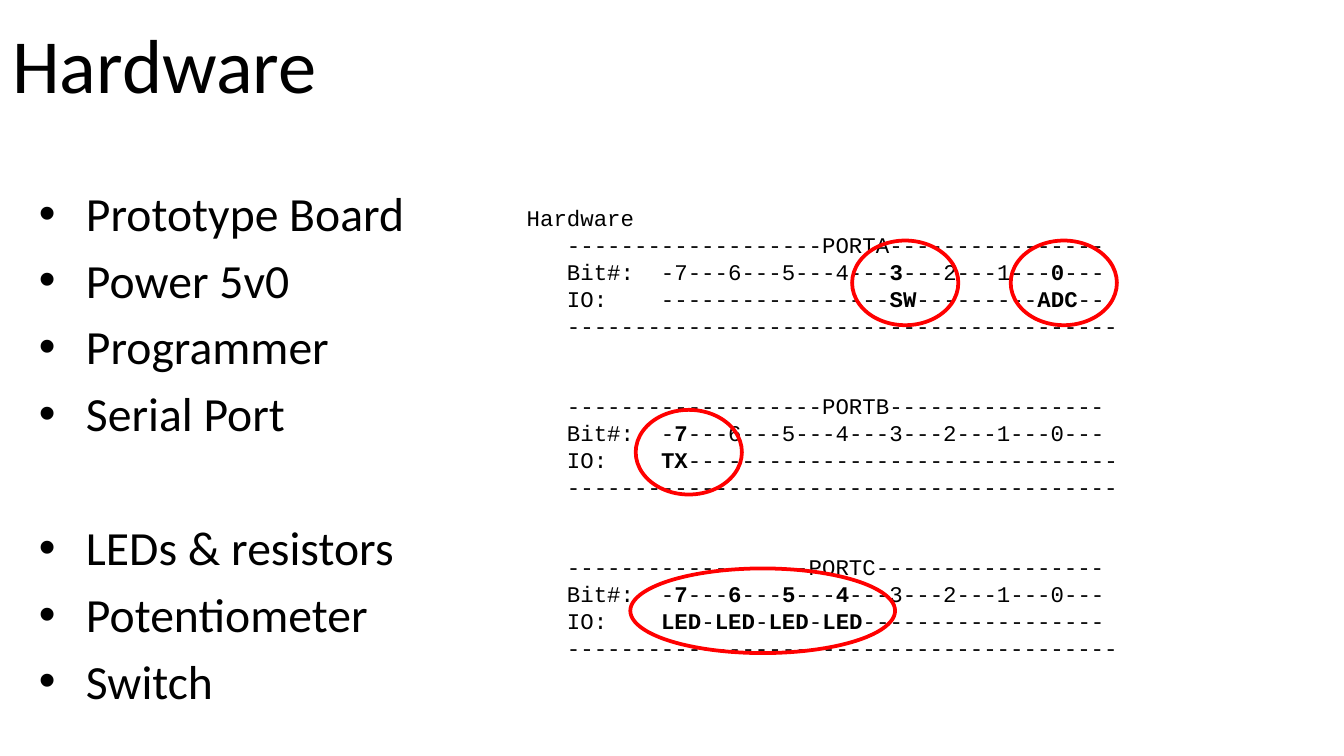
import pptx
import pptx.util
import pptx.dml.color
import pptx.enum.shapes
import pptx.enum.text
import lxml.etree

Inches, Pt = pptx.util.Inches, pptx.util.Pt

TITLE = "Hardware"
GROUPS = [
    ["Prototype Board", "Power 5v0", "Programmer", "Serial Port"],
    ["LEDs & resistors", "Potentiometer", "Switch"],
]
RULE = "   " + "-" * 41
PORTS = [
    ["   -------------------PORTA----------------",
     "   Bit#:  -7---6---5---4---*3*---2---1---*0*---",
     "   IO:    -----------------*SW*---------*ADC*--",
     RULE],
    ["   -------------------PORTB----------------",
     "   Bit#:  -*7*---6---5---4---3---2---1---0---",
     "   IO:    *TX*--------------------------------",
     RULE],
    ["   ------------------PORTC-----------------",
     "   Bit#:  -*7*---*6*---*5*---*4*---3---2---1---0---",
     "   IO:    *LED*-*LED*-*LED*-*LED*------------------",
     RULE],
]
RINGS = [(7.52, 1.79, 0.79), (4.69, 4.23, 1.97), (6.34, 1.79, 0.79), (4.73, 3.05, 0.79)]
RING_H = 0.63
PITCH = 14.4
ITEM_GAP, GROUP_GAP = 5.1, 41.3


def paint(hue):
    return pptx.dml.color.RGBColor.from_string(hue)


def write(para, text, face, size):
    for i, part in enumerate(text.split("*")):
        if part:
            run = para.add_run()
            run.text = part
            run.font.name, run.font.size = face, Pt(size)
            run.font.bold = i % 2 == 1
            run.font.color.rgb = paint("000000")


def add_box(slide, left, top, width, height):
    frame = slide.shapes.add_textbox(*map(Inches, (left, top, width, height))).text_frame
    frame.word_wrap = True
    return frame


def next_para(frame):
    first = frame.paragraphs[0]
    return frame.add_paragraph() if first.runs else first


def add_bullet(para):
    props = para._p.get_or_add_pPr()
    props.set("marL", str(Inches(0.35)))
    props.set("indent", str(-Inches(0.35)))
    space = "{http://schemas.openxmlformats.org/drawingml/2006/main}"
    lxml.etree.SubElement(props, space + "buFont").set("typeface", "Arial")
    lxml.etree.SubElement(props, space + "buChar").set("char", "•")


def add_title(slide):
    title = slide.shapes.title
    title.left, title.top, title.width, title.height = map(Inches, (0, 0, 9, 0.94))
    frame = title.text_frame
    frame.margin_left = Inches(0.09)
    frame.auto_size = pptx.enum.text.MSO_AUTO_SIZE.NONE
    frame.vertical_anchor = pptx.enum.text.MSO_ANCHOR.MIDDLE
    para = frame.paragraphs[0]
    para.alignment = pptx.enum.text.PP_ALIGN.LEFT
    write(para, TITLE, "Calibri", 41)


def add_parts(slide):
    frame = add_box(slide, 0.2, 1.32, 9, 3.71)
    frame.margin_left = Inches(0.09)
    for g, group in enumerate(GROUPS):
        for i, item in enumerate(group):
            para = next_para(frame)
            add_bullet(para)
            if g or i:
                para.space_before = Pt(ITEM_GAP if i else GROUP_GAP)
            write(para, item, "Calibri", 25.5)


def add_ports(slide):
    frame = add_box(slide, 3.82, 1.47, 5.91, 3.94)
    for b, block in enumerate([[TITLE]] + PORTS):
        for i, line in enumerate(block):
            para = next_para(frame)
            para.line_spacing = Pt(PITCH)
            if b > 1 and i == 0:
                para.space_before = Pt(2 * PITCH)
            write(para, line, "Courier New", 12)


def add_rings(slide):
    for left, top, width in RINGS:
        ring = slide.shapes.add_shape(
            pptx.enum.shapes.MSO_SHAPE.OVAL, *map(Inches, (left, top, width, RING_H)))
        ring.shadow.inherit = False
        ring.fill.background()
        ring.line.color.rgb = paint("FF0000")
        ring.line.width = Pt(2)


def main():
    """Build the hardware slide with its part list and port maps."""
    deck = pptx.Presentation()
    deck.slide_width = Inches(10)
    deck.slide_height = deck.slide_width * 9 // 16
    slide = deck.slides.add_slide(deck.slide_layouts[5])
    add_title(slide)
    add_parts(slide)
    add_ports(slide)
    add_rings(slide)
    deck.save("out.pptx")


if __name__ == "__main__":
    main()
